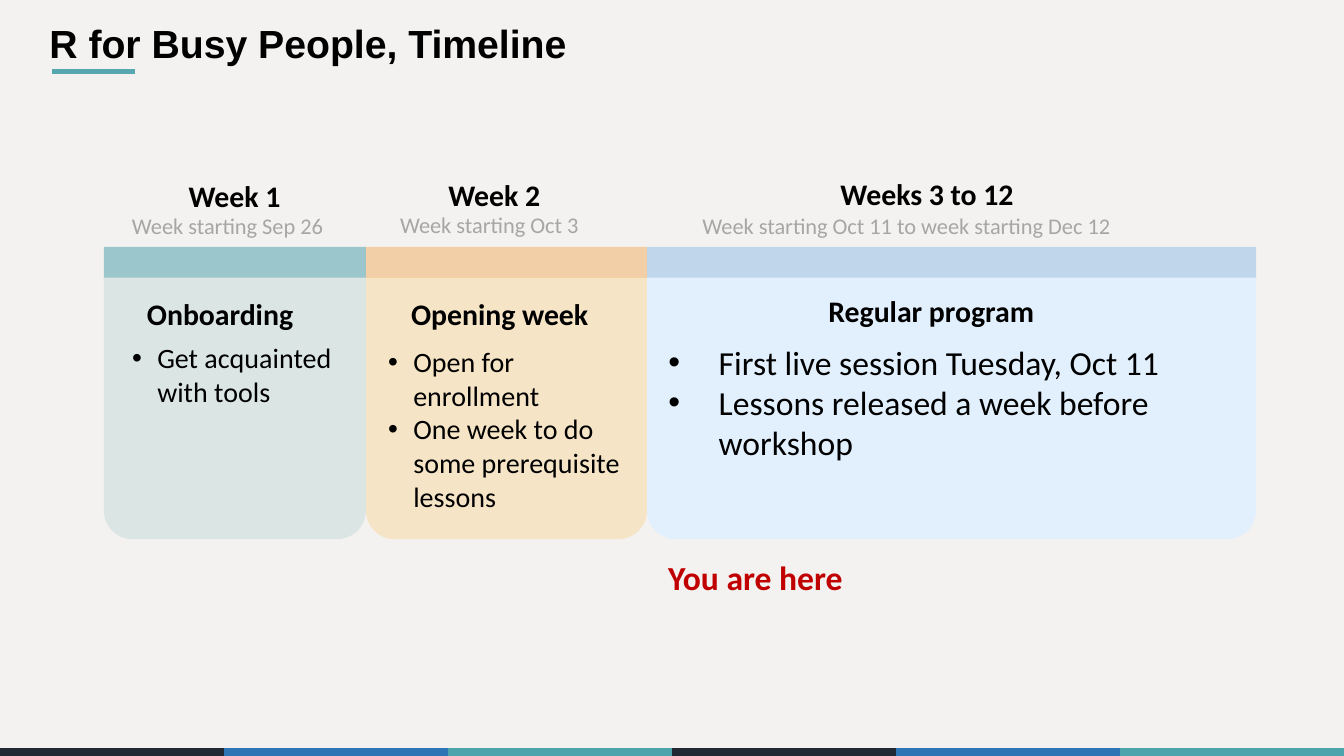
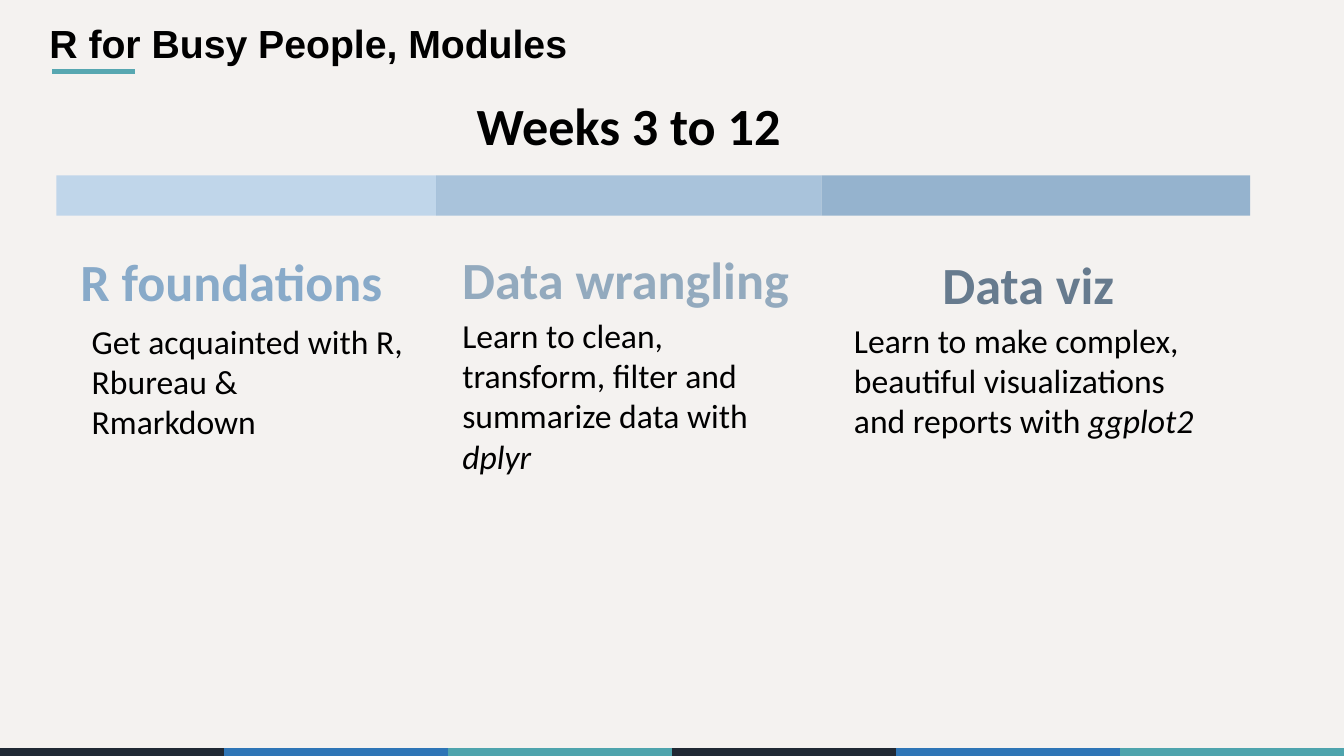
from lxml import etree
from pptx import Presentation
from pptx import util as u
from pptx.dml.color import RGBColor
from pptx.enum import shapes, text
from pptx.oxml import ns

COLS, ROWS = 160, 90
WIDE, HIGH = u.Inches(13.33), u.Inches(7.5)

PAPER = RGBColor(0xF4, 0xF2, 0xF0)
BLACK = RGBColor(0, 0, 0)
GREY = RGBColor(0xA6, 0xA6, 0xA6)
RED = RGBColor(0xC0, 0, 0)
RULE = RGBColor(0x57, 0xA7, 0xB1)
NAVY = RGBColor(0x20, 0x29, 0x34)
BLUE = RGBColor(0x2E, 0x75, 0xB6)
TEAL = RGBColor(0x4E, 0xA4, 0xAD)
AQUA = RGBColor(0x9B, 0xC6, 0xCB)
MIST = RGBColor(0xDA, 0xE5, 0xE4)
AMBER = RGBColor(0xF2, 0xA4, 0x4B)
CREAM = RGBColor(0xF6, 0xE4, 0xC6)
SKY = RGBColor(0x9D, 0xC3, 0xE6)
ICE = RGBColor(0xE2, 0xF0, 0xFD)
STEEL = RGBColor(0x90, 0xB4, 0xD5)
DENIM = RGBColor(0x88, 0xAA, 0xC9)
HAZE = RGBColor(0x93, 0xAA, 0xBE)
SLATE = RGBColor(0x67, 0x7B, 0x8E)


def grid(x, y, w, h):
    return [u.Emu(int(v)) for v in (x * WIDE / COLS, y * HIGH / ROWS,
                                    w * WIDE / COLS, h * HIGH / ROWS)]


def child(node, tag, **attrs):
    return etree.SubElement(node, ns.qn(tag), **attrs)


def line(slide, x, y, w, color, width):
    left, top, span, _ = grid(x, y, w, 0)
    rule = slide.shapes.add_connector(shapes.MSO_CONNECTOR.STRAIGHT,
                                      left, top, left + span, top)
    rule.line.color.rgb = color
    rule.line.width = u.Pt(width)
    child(rule.element.spPr, "a:effectLst")
    return rule


def block(slide, box, color, alpha=100, kind=shapes.MSO_SHAPE.RECTANGLE):
    shape = slide.shapes.add_shape(kind, *grid(*box))
    shape.shadow.inherit = False
    shape.fill.solid()
    shape.fill.fore_color.rgb = color
    shape.line.fill.background()
    if alpha < 100:
        tint = shape.element.spPr.find(".//" + ns.qn("a:srgbClr"))
        child(tint, "a:alpha", val=str(alpha * 1000))
    return shape


def write(shape, paras, size, color=BLACK, bold=False, face="Calibri", indent=0):
    frame = shape.text_frame
    frame.word_wrap = True
    frame.auto_size = text.MSO_AUTO_SIZE.NONE
    frame.vertical_anchor = text.MSO_ANCHOR.TOP
    for i, runs in enumerate(paras):
        para = frame.add_paragraph() if i else frame.paragraphs[0]
        para.alignment = text.PP_ALIGN.LEFT
        para.space_before = u.Pt(0)
        props = para._p.get_or_add_pPr()
        props.set("marL", str(u.Inches(indent)))
        props.set("indent", str(-u.Inches(indent)))
        if indent:
            child(props, "a:buFont", typeface="Arial")
            child(props, "a:buChar", char="•")
        else:
            child(props, "a:buNone")
        font = para.font
        font.name, font.size, font.bold = face, u.Pt(size), bold
        font.color.rgb = color
        for j, part in enumerate(runs):
            run = para.add_run()
            run.text = part
            if j:
                run.font.italic = True


def label(slide, box, words, size, color=BLACK, bold=True):
    write(slide.shapes.add_textbox(*grid(*box)), [[words]], size, color, bold)


def fill(slide, slot, box, paras, size, **style):
    shape = slide.placeholders[slot]
    shape.left, shape.top, shape.width, shape.height = grid(*box)
    slide.shapes.element.append(shape.element)
    write(shape, paras, size, **style)


def footer(slide, layout):
    step = COLS / 6
    for i in range(6):
        band = line(slide, i * step, 89.6, step, (NAVY, BLUE, TEAL)[i % 3], 6)
        layout.shapes.element.append(band.element)


def start(deck, layout, title):
    slide = deck.slides.add_slide(layout)
    fill(slide, 0, (4.68, 1.68, 90, 6.84), [[title]], 28, bold=True, face="Arial")
    line(slide, 6.24, 8.52, 9.84, RULE, 3)
    return slide


def prune(slide):
    for shape in list(slide.placeholders):
        if not shape.text_frame.text:
            shape.element.getparent().remove(shape.element)


def card(slide, slot, box, tones, words, spots, indent, size):
    x, y, w, h = box
    bar, alpha, body = tones
    week, date, head, items = words
    base = block(slide, (x, y + 3.6, w, h - 3.6), body,
                 kind=shapes.MSO_SHAPE.ROUND_2_SAME_RECTANGLE)
    base.adjustments[0], base.adjustments[1] = 0, 0.11
    block(slide, (x, y, w, 3.65), bar, alpha)
    for note, spot, pt, color, bold in zip(
            (week, date, head), spots, (21.3, 16, 21.3),
            (BLACK, GREY, BLACK), (True, False, True)):
        dx, dy = spot
        label(slide, (x + dx, y + dy, w - dx, 5.5), note, pt, color, bold)
    dx, dy = spots[3]
    fill(slide, slot, (x + dx, y + dy, w - 1.5 * dx, h - dy - 1),
         [[item] for item in items], size, indent=indent)


def weeks(slide):
    cards = [
        (31.2, (AQUA, 100, MIST),
         ("Week 1", "Week starting Sep 26", "Onboarding",
          ["Get acquainted with tools"]),
         ((8.9, -8.8), (2.16, -4.7), (3.96, 5.16), (2.16, 10.56)), 0.25, 20),
        (33.48, (AMBER, 44, CREAM),
         ("Week 2", "Week starting Oct 3", "Opening week",
          ["Open for enrollment", "One week to do some prerequisite lessons"]),
         ((8.64, -9), (2.88, -4.9), (4.2, 5.16), (1.44, 11.04)), 0.25, 20),
        (72.5, (SKY, 59, ICE),
         ("Weeks 3 to 12", "Week starting Oct 11 to week starting Dec 12",
          "Regular program",
          ["First live session Tuesday, Oct 11",
           "Lessons released a week before workshop"]),
         ((21.84, -9.1), (5.4, -4.7), (20.4, 4.8), (1.32, 10.68)), 0.5, 24),
    ]
    x = 12.36
    for slot, (w, *rest) in enumerate(cards, 1):
        card(slide, slot, (x, 29.4, w, 34.8), *rest)
        x += w
    label(slide, (78.36, 65.76, 30, 6), "You are here", 24, RED)


def module(slide, slot, box, tone, head, color, runs, spots):
    x, y, w, h = box
    block(slide, box, *tone)
    (hx, hy), (tx, ty) = spots
    label(slide, (x + hx, y + hy, 46, 8.76), head, 37.3, color)
    fill(slide, slot, (x + tx, y + ty, w - tx - 2, 20.6), [runs], 24)


def modules(slide):
    parts = [
        (45.2, (SKY, 59), "R foundations", DENIM,
         ["Get acquainted with R, Rbureau & Rmarkdown"],
         ((1.68, 8.16), (3, 16.68))),
        (45.9, (STEEL, 75), "Data wrangling", HAZE,
         ["Learn to clean, transform, filter and summarize data with ", "dplyr"],
         ((1.92, 7.92), (1.92, 15.96))),
        (51, (DENIM, 87), "Data viz", SLATE,
         ["Learn to make complex, beautiful visualizations and reports with ",
          "ggplot2"],
         ((13.2, 8.52), (2.64, 16.56))),
    ]
    label(slide, (55.56, 10.56, 42, 8.76), "Weeks 3 to 12", 37.3)
    x = 6.72
    for slot, (w, *rest) in enumerate(parts, 1):
        module(slide, slot, (x, 20.88, w, 4.8), *rest)
        x += w


def main():
    deck = Presentation()
    deck.slide_width, deck.slide_height = WIDE, HIGH
    layout = deck.slide_layouts.get_by_name("Comparison")
    layout.background.fill.solid()
    layout.background.fill.fore_color.rgb = PAPER
    pages = (("R for Busy People, Timeline", weeks),
             ("R for Busy People, Modules", modules))
    for i, (title, draw) in enumerate(pages):
        slide = start(deck, layout, title)
        if not i:
            footer(slide, layout)
        draw(slide)
        prune(slide)
    deck.save("out.pptx")


if __name__ == "__main__":
    main()
